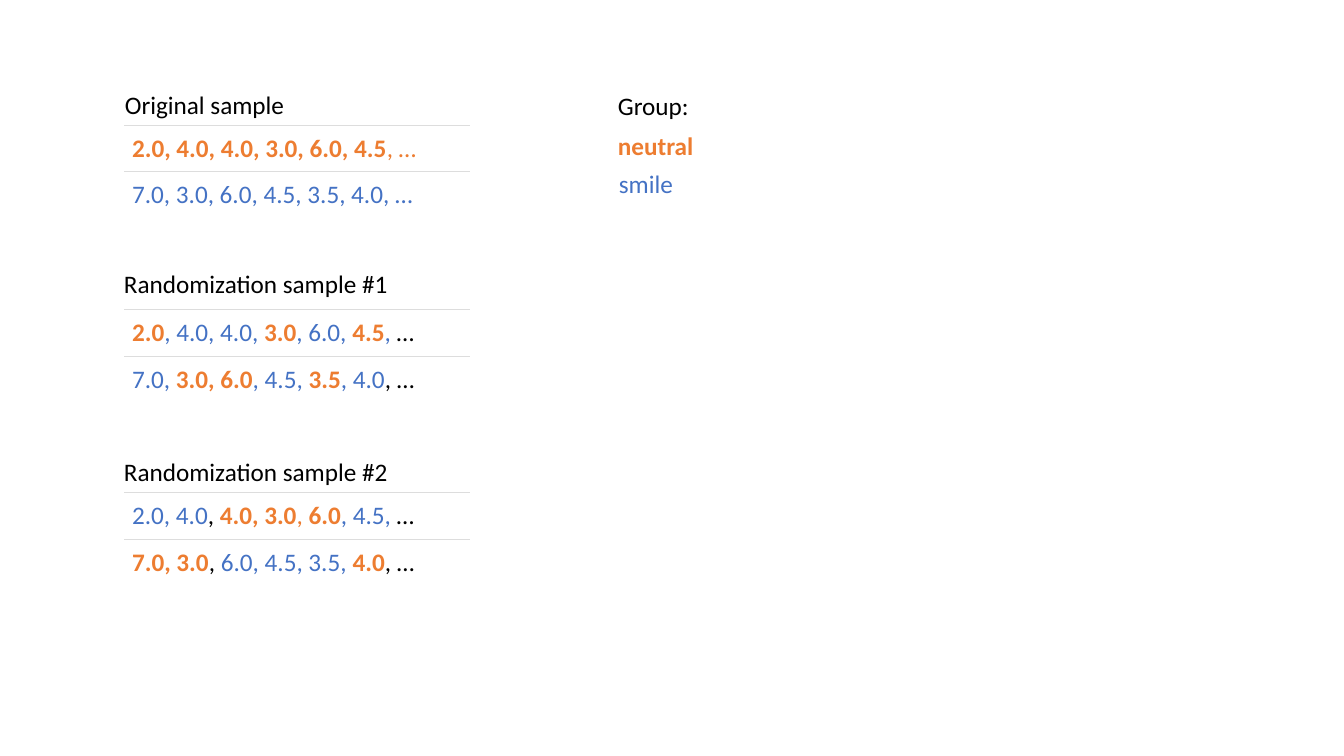
"""Build a slide comparing an original sample with two randomization samples."""
from lxml import etree
from pptx import Presentation
from pptx.dml.color import RGBColor
from pptx.enum import text
from pptx.oxml import ns
from pptx.util import Inches, Pt

ORANGE = RGBColor(0xED, 0x7D, 0x31)
BLUE = RGBColor(0x44, 0x72, 0xC4)
BLACK = RGBColor(0, 0, 0)
WHITE = RGBColor(0xFF, 0xFF, 0xFF)
RULE = RGBColor(0xDD, 0xDD, 0xDD)

NEUTRAL = (ORANGE, True)
NEUTRAL_LIGHT = (ORANGE, False)
SMILE = (BLUE, False)
PLAIN = (BLACK, False)


def add_runs(paragraph, runs):
    for words, (color, bold) in runs:
        run = paragraph.add_run()
        run.text = words
        run.font.name = "Calibri"
        run.font.size = Pt(18)
        run.font.bold = bold
        run.font.color.rgb = color


def set_borders(cell, ruled_sides):
    properties = cell._tc.get_or_add_tcPr()
    for side in "LRTB":
        line = etree.SubElement(properties, ns.qn(f"a:ln{side}"), w=str(Pt(0.75)))
        if side in ruled_sides:
            fill = etree.SubElement(line, ns.qn("a:solidFill"))
            etree.SubElement(fill, ns.qn("a:srgbClr"), val=str(RULE))
        else:
            etree.SubElement(line, ns.qn("a:noFill"))


presentation = Presentation()
presentation.slide_width = Inches(13.33)
presentation.slide_height = Inches(7.5)
slide = presentation.slides.add_slide(presentation.slide_layouts[6])

samples = [
    (1.24, [
        [("2.0, 4.0, 4.0, 3.0, 6.0, 4.5", NEUTRAL), (", …", NEUTRAL_LIGHT)],
        [("7.0, 3.0, 6.0, 4.5, 3.5, 4.0, …", SMILE)],
    ]),
    (3.07, [
        [("2.0", NEUTRAL), (", 4.0, 4.0, ", SMILE), ("3.0", NEUTRAL),
         (", 6.0, ", SMILE), ("4.5", NEUTRAL), (",", SMILE), (" …", PLAIN)],
        [("7.0, ", SMILE), ("3.0, 6.0", NEUTRAL), (", 4.5, ", SMILE),
         ("3.5", NEUTRAL), (", 4.0", SMILE), (", …", PLAIN)],
    ]),
    (4.89, [
        [("2.0, 4.0", SMILE), (", ", PLAIN), ("4.0, 3.0", NEUTRAL),
         (", ", NEUTRAL_LIGHT), ("6.0", NEUTRAL), (", 4.5,", SMILE), (" …", PLAIN)],
        [("7.0, 3.0", NEUTRAL), (", ", PLAIN), ("6.0, 4.5, 3.5, ", SMILE),
         ("4.0", NEUTRAL), (", …", PLAIN)],
    ]),
]
for top, rows in samples:
    frame = slide.shapes.add_table(2, 1, Inches(1.23), Inches(top), Inches(3.43), Inches(0.93))
    table = frame.table
    table.first_row = False
    table.horz_banding = False
    for index, (runs, ruled_sides) in enumerate(zip(rows, ("TB", "T"))):
        cell = table.cell(index, 0)
        cell.margin_left = cell.margin_right = Inches(0.08)
        cell.margin_top = cell.margin_bottom = Inches(0.08)
        set_borders(cell, ruled_sides)
        cell.fill.solid()
        cell.fill.fore_color.rgb = WHITE
        add_runs(cell.text_frame.paragraphs[0], runs)

labels = [
    ("neutral", NEUTRAL, 6.03, 1.24, 0.96),
    ("smile", SMILE, 6.04, 1.62, 0.74),
    ("Original sample", PLAIN, 1.14, 0.84, 1.8),
    ("Randomization sample #1", PLAIN, 1.13, 2.61, 2.85),
    ("Randomization sample #2", PLAIN, 1.13, 4.48, 2.85),
    ("Group:", PLAIN, 6.03, 0.85, 0.92),
]
for words, style, left, top, width in labels:
    box = slide.shapes.add_textbox(Inches(left), Inches(top), Inches(width), Inches(0.4))
    box.text_frame.word_wrap = False
    box.text_frame.auto_size = text.MSO_AUTO_SIZE.SHAPE_TO_FIT_TEXT
    add_runs(box.text_frame.paragraphs[0], [(words, style)])

presentation.save("out.pptx")
